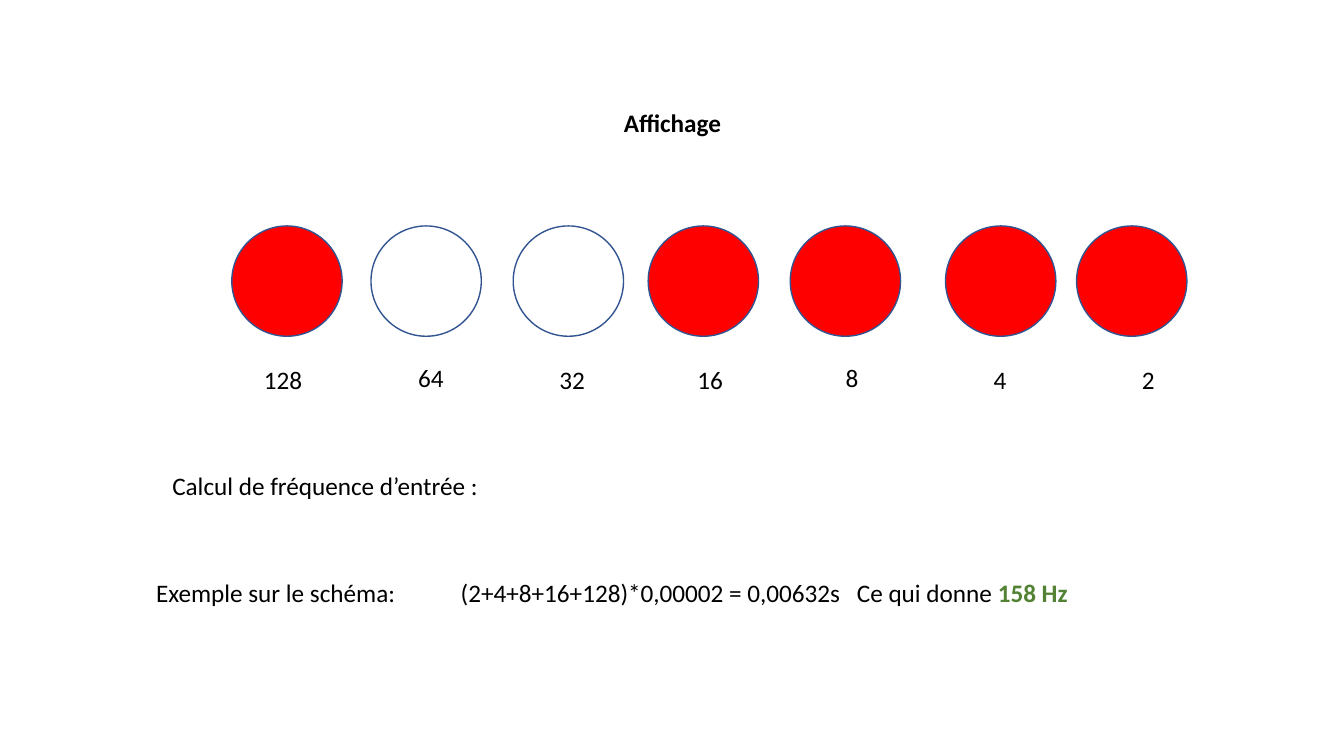
import pptx
import pptx.util
import pptx.dml.color
import pptx.enum.shapes
import pptx.enum.text

Pt = pptx.util.Pt
RGB = pptx.dml.color.RGBColor

RED = RGB(0xFF, 0x00, 0x00)
WHITE = RGB(0xFF, 0xFF, 0xFF)
BLUE = RGB(0x32, 0x54, 0x91)
BLACK = RGB(0x00, 0x00, 0x00)
GREEN = RGB(0x54, 0x82, 0x35)

FONT = "Calibri"
SIZE = 18
HIGH = 29
LAMP = 78.8
LAMP_TOP = 161.4
DIGIT = 9.2
INSET = 14.4

# Bit value, lit or not, lamp left, label left, label top
LAMPS = [
    (128, True, 165.6, 181.4, 256.4),
    (64, False, 265, 291.6, 255.4),
    (32, False, 366.6, 392.4, 256.4),
    (16, True, 463, 491, 256.4),
    (8, True, 564.5, 597, 255.4),
    (4, True, 675.4, 702.7, 256.4),
    (2, True, 769, 808.6, 256.4),
]


def add_lamp(slide, left, lit):
    lamp = slide.shapes.add_shape(
        pptx.enum.shapes.MSO_SHAPE.OVAL,
        Pt(left), Pt(LAMP_TOP), Pt(LAMP), Pt(LAMP))
    lamp.shadow.inherit = False
    lamp.fill.solid()
    lamp.fill.fore_color.rgb = RED if lit else WHITE
    lamp.line.color.rgb = BLUE
    lamp.line.width = Pt(1)


def add_text(slide, text, left, top, width, bold=False):
    box = slide.shapes.add_textbox(Pt(left), Pt(top), Pt(width), Pt(HIGH))
    frame = box.text_frame
    frame.word_wrap = False
    frame.auto_size = pptx.enum.text.MSO_AUTO_SIZE.SHAPE_TO_FIT_TEXT
    para = frame.paragraphs[0]
    para.add_run().text = text
    para.font.name = FONT
    para.font.size = Pt(SIZE)
    para.font.bold = bold
    para.font.color.rgb = BLACK
    return para


def add_mark(para, text):
    run = para.add_run()
    run.text = text
    run.font.bold = True
    run.font.color.rgb = GREEN


def main():
    deck = pptx.Presentation()
    deck.slide_width = Pt(960)
    deck.slide_height = Pt(540)
    slide = deck.slides.add_slide(deck.slide_layouts[6])

    # Title
    add_text(slide, "Affichage", 438.5, 73.4, 85, bold=True)

    # Lamps with their bit values
    for value, lit, left, label, top in LAMPS:
        add_lamp(slide, left, lit)
        digits = str(value)
        add_text(slide, digits, label, top, INSET + DIGIT * len(digits))

    # Frequency sum
    add_text(slide, "Calcul de fréquence d’entrée :", 116, 332.6, 236)
    row = 409
    add_text(slide, "Exemple sur le schéma:", 104.4, row, 191.5)
    add_text(slide, "(2+4+8+16+128)*0,00002 = 0,00632s", 322, row, 288.7)
    result = add_text(slide, "Ce qui donne ", 605, row, 171.4)
    add_mark(result, "158 Hz")

    deck.save("out.pptx")


if __name__ == "__main__":
    main()
